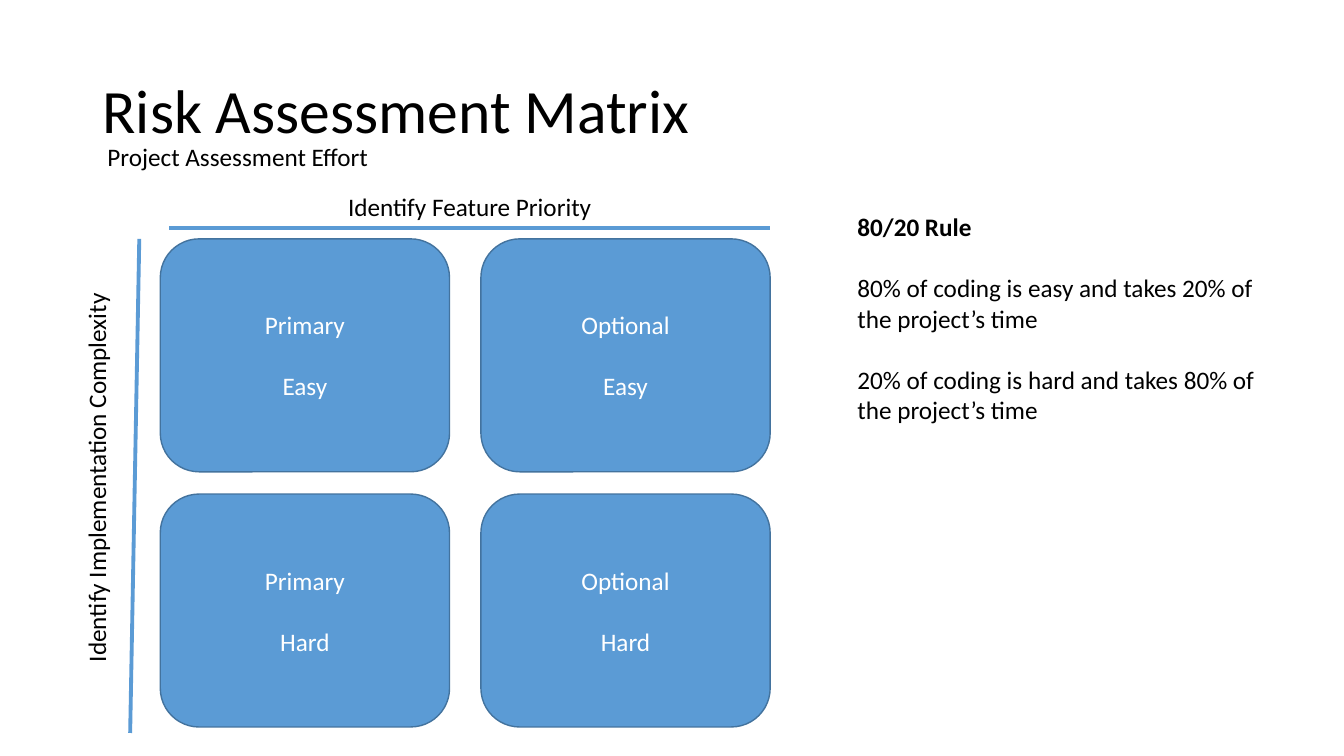
from pptx import Presentation
from pptx.dml.color import RGBColor
from pptx.enum.shapes import MSO_CONNECTOR as Connector, MSO_SHAPE as Shape
from pptx.enum.text import MSO_ANCHOR as Anchor, MSO_AUTO_SIZE as AutoSize, PP_ALIGN as Align
from pptx.oxml.xmlchemy import OxmlElement
from pptx.util import Cm, Pt


def color(hex_text):
    """Turn a hex string into a colour."""
    return RGBColor.from_string(hex_text)


def apply_format(target, values):
    """Set each attribute named in a dict of format values."""
    for name, value in values.items():
        setattr(target, name, value)


def place(shape, box):
    """Put a shape at left, top, width and height in centimetres."""
    apply_format(shape, dict(zip(("left", "top", "width", "height"), map(Cm, box))))


class SlideBuilder:
    """Holds the style and the slide being built."""

    font = "Calibri"
    black, white, blue, border = "000000", "FFFFFF", "5B9BD5", "43739E"
    body_size = 18
    paragraph_gap = Pt(22)

    def __init__(self, slide):
        """Keep the slide to draw on."""
        self.slide = slide

    def fill_text(self, frame, texts, align=Align.LEFT, text_color=black,
                  size=body_size, bold_first=False, line_spacing=None):
        """Fill a text frame with evenly separated paragraphs."""
        for index, text in enumerate(texts):
            paragraph = frame.add_paragraph() if index else frame.paragraphs[0]
            apply_format(paragraph, {
                "alignment": align,
                "line_spacing": line_spacing,
                "space_before": self.paragraph_gap if index else Pt(0),
            })
            run = paragraph.add_run()
            run.text = text
            apply_format(run.font, {
                "name": self.font,
                "size": Pt(size),
                "bold": bold_first and index == 0,
            })
            run.font.color.rgb = color(text_color)

    def title(self, text, box):
        """Move and fill the title placeholder."""
        title = self.slide.shapes.title
        place(title, box)
        apply_format(title.text_frame, {
            "vertical_anchor": Anchor.MIDDLE, "word_wrap": True, "auto_size": AutoSize.NONE})
        self.fill_text(title.text_frame, [text], size=44, line_spacing=0.9)

    def label(self, texts, box, rotation=0, wrap=True, **style):
        """Add a text box that grows with its text."""
        label = self.slide.shapes.add_textbox(*map(Cm, box))
        label.rotation = rotation
        apply_format(label.text_frame, {
            "word_wrap": wrap, "auto_size": AutoSize.SHAPE_TO_FIT_TEXT})
        self.fill_text(label.text_frame, texts, **style)

    def cell(self, texts, box):
        """Add one rounded cell of the matrix."""
        cell = self.slide.shapes.add_shape(Shape.ROUNDED_RECTANGLE, *map(Cm, box))
        cell.shadow.inherit = False
        cell.fill.solid()
        cell.fill.fore_color.rgb = color(self.blue)
        cell.line.color.rgb = color(self.border)
        cell.line.width = Pt(1)
        apply_format(cell.text_frame, {"vertical_anchor": Anchor.MIDDLE, "word_wrap": True})
        self.fill_text(cell.text_frame, texts, Align.CENTER, self.white)

    def axis(self, start, end):
        """Add a straight axis line without shadow."""
        axis = self.slide.shapes.add_connector(Connector.STRAIGHT, *map(Cm, start + end))
        axis.line.color.rgb = color(self.blue)
        axis.line.width = Pt(2.75)
        axis._element.spPr.append(OxmlElement("a:effectLst"))


def main():
    """Build the risk matrix slide and save it."""
    presentation = Presentation()
    presentation.slide_width, presentation.slide_height = Cm(33.87), Cm(19.05)
    builder = SlideBuilder(presentation.slides.add_slide(presentation.slide_layouts[5]))

    builder.title("Risk Assessment Matrix", (2.33, 1.01, 29.21, 3.68))
    builder.label(["Project Assessment Effort"], (2.46, 3.43, 7.14, 1.02), wrap=False)

    matrix_left, matrix_top = 4.04, 6.02
    cell_width, cell_height = 7.29, 5.87
    column_step, row_step = 8.08, 6.43
    for row, effort in enumerate(("Easy", "Hard")):
        for column, priority in enumerate(("Primary", "Optional")):
            builder.cell([priority, effort], (
                matrix_left + column * column_step, matrix_top + row * row_step,
                cell_width, cell_height))

    builder.label(["Identify Feature Priority"], (4.27, 4.7, 15.14, 1.02), align=Align.CENTER)
    builder.axis((4.27, 5.74), (19.41, 5.74))
    builder.label(["Identify Implementation Complexity"], (-3.61, 11.53, 12.07, 1.02),
                  rotation=270, align=Align.CENTER)
    builder.axis((3.51, matrix_top), (3.28, 18.47))

    builder.label([
        "80/20 Rule",
        "80% of coding is easy and takes 20% of the project’s time",
        "20% of coding is hard and takes 80% of the project’s time",
    ], (21.36, 5.21, 11.07, 5.64), bold_first=True)

    presentation.save("out.pptx")


main()
